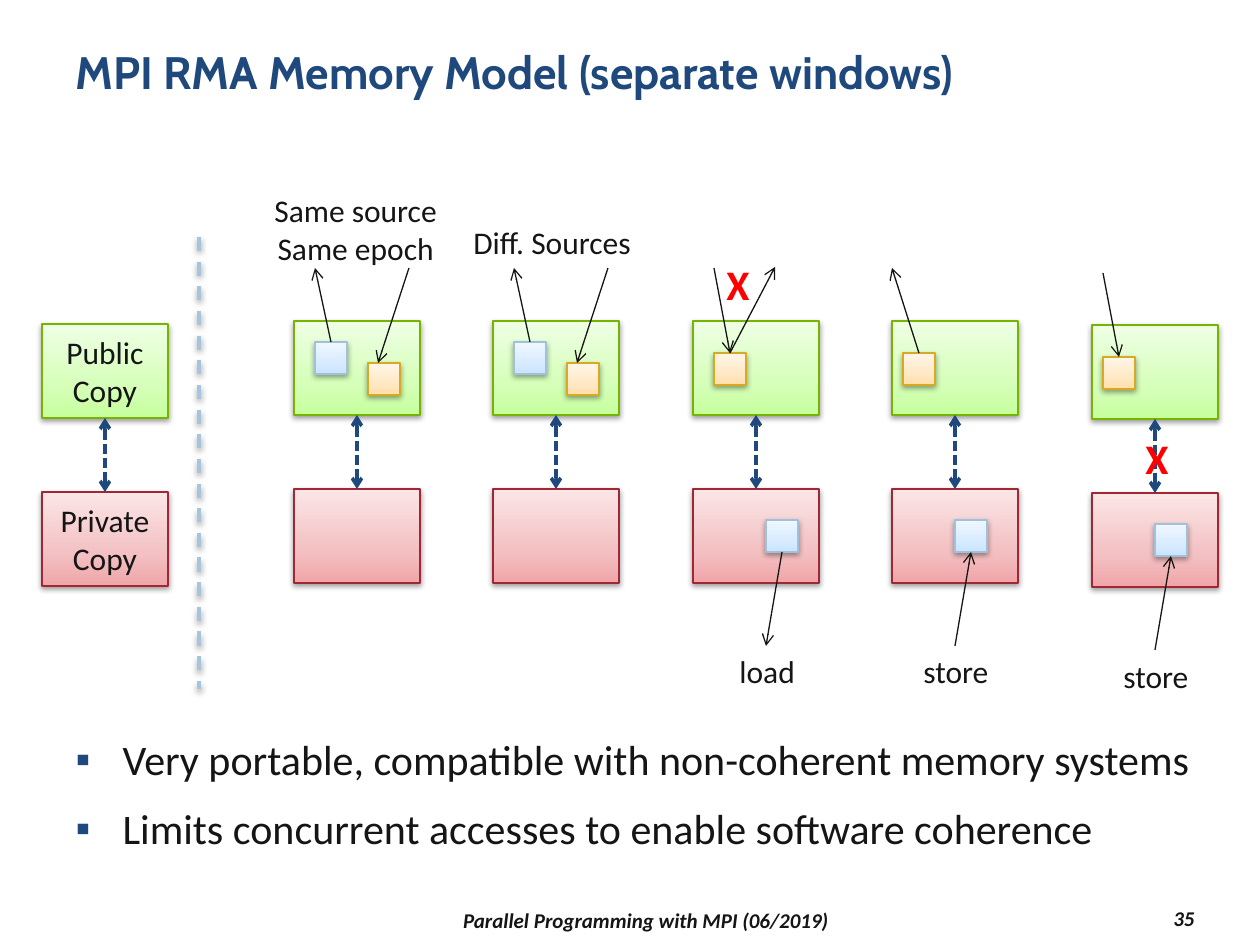
from lxml import etree
from pptx import Presentation
from pptx.dml.color import RGBColor
from pptx.enum.dml import MSO_LINE
from pptx.enum.shapes import MSO_CONNECTOR, MSO_SHAPE
from pptx.enum.text import MSO_ANCHOR, MSO_AUTO_SIZE, PP_ALIGN
from pptx.oxml.ns import qn
from pptx.util import Emu, Pt

PX_PER_INCH = 126
INK, NAVY, RED = "151515", "1F497D", "FF0000"
TOP, BOTTOM = 0, 2  # connection sites

# Outline, then gradient stops from bottom to top
STYLES = {
    "public": ("77B400", ("C6FF9D", "D6FFBA", "EFFFE5")),
    "private": ("A12734", ("F0A5A8", "F3C1C3", "FBE6E7")),
    "blue": ("A1C0DA", ("C9E4FF", "D8EBFF", "F0F7FF")),
    "orange": ("D8AA23", ("FFDFAB", "FFE8C4", "FFF6E9")),
}
STOPS = (0, 35000, 100000)
COPY_WIDTH, COPY_HEIGHT, COPY_STEP, SQUARE = 126, 94, 168, 32

# Squares: style, left, top. Accesses: square, site, outer x, outer y, inward,
# and where the arrow meets the square if that is not the middle of its side.
TWO_SOURCES = {
    "squares": [("blue", 21, 21), ("orange", 74, 42)],
    "accesses": [(0, TOP, 21, -53, False, None), (1, TOP, 115, -53, True, 10)],
}
CASES = [
    {**TWO_SOURCES, "labels": [("Same source\nSame epoch", -32, -136, 189, 89)]},
    {**TWO_SOURCES, "labels": [("Diff. Sources", -32, -104, 184, 50)]},
    {
        "squares": [("orange", 21, 32), ("blue", 73, 199)],
        "accesses": [(0, TOP, 21, -53, True, None), (0, TOP, 82, -54, False, None),
                     (1, BOTTOM, 73, 325, False, None)],
        "labels": [("load", 34, 325, 82, 50)],
        "cross": (21, -69),
    },
    {
        "squares": [("orange", 11, 32), ("blue", 63, 199)],
        "accesses": [(0, TOP, 0, -53, False, None), (1, BOTTOM, 63, 325, True, None)],
        "labels": [("store", 19, 325, 91, 50)],
    },
    {
        "squares": [("orange", 11, 32), ("blue", 63, 199)],
        "accesses": [(0, TOP, 11, -52, True, None), (1, BOTTOM, 63, 325, True, None)],
        "labels": [("store", 19, 326, 91, 50)],
        "cross": (41, 101),
    },
]


def px(length):
    return Emu(round(length * 914400 / PX_PER_INCH))


def color(value):
    return RGBColor.from_string(value)


def format_text(text_frame, size, ink=INK, font="Calibri", bold=False, italic=False, align=None):
    for paragraph in text_frame.paragraphs:
        paragraph.alignment = align
        for run in paragraph.runs:
            run.font.name, run.font.size = font, Pt(size)
            run.font.bold, run.font.italic = bold, italic
            run.font.color.rgb = color(ink)


def add_effects(properties, shadow):
    effects = etree.SubElement(properties, qn("a:effectLst"))
    if shadow:
        outer = etree.SubElement(effects, qn("a:outerShdw"), blurRad="40000", dist="20000",
                                 dir="5400000", rotWithShape="0")
        black = etree.SubElement(outer, qn("a:srgbClr"), val="000000")
        etree.SubElement(black, qn("a:alpha"), val="38000")


def add_box(slide, style, left, top, width, height, text=""):
    outline, shades = STYLES[style]
    shape = slide.shapes.add_shape(MSO_SHAPE.RECTANGLE, px(left), px(top), px(width), px(height))
    shape.fill.gradient()
    shape.fill.gradient_angle = 90
    properties = shape.element.spPr
    stop_list = properties.find(".//" + qn("a:gsLst"))
    for stop in list(stop_list):
        stop_list.remove(stop)
    for position, shade in zip(STOPS, shades):
        stop = etree.SubElement(stop_list, qn("a:gs"), pos=str(position))
        etree.SubElement(stop, qn("a:srgbClr"), val=shade)
    shape.line.color.rgb = color(outline)
    shape.line.width = Pt(0.75)
    add_effects(properties, shadow=True)
    if text:
        shape.text_frame.text = text
        shape.text_frame.vertical_anchor = MSO_ANCHOR.MIDDLE
        format_text(shape.text_frame, 18, align=PP_ALIGN.CENTER)
    return shape


def add_line(slide, start, end, ink=INK, width=0.75, dash=None, ends=("tailEnd",), shadow=False):
    line = slide.shapes.add_connector(MSO_CONNECTOR.STRAIGHT, *map(px, (*start, *end)))
    line.line.color.rgb = color(ink)
    line.line.width = Pt(width)
    if dash:
        line.line.dash_style = dash
    for name in ends:
        etree.SubElement(line.line._get_or_add_ln(), qn("a:" + name), type="arrow")
    add_effects(line.element.spPr, shadow)
    return line


def add_label(slide, text, left, top, width, height, size=18, wrap=False, **style):
    box = slide.shapes.add_textbox(px(left), px(top), px(width), px(height))
    box.text_frame.text = text
    box.text_frame.word_wrap = wrap
    if wrap:
        box.text_frame.vertical_anchor = MSO_ANCHOR.MIDDLE
    format_text(box.text_frame, size, **style)
    return box


def add_copies(slide, left, top, public_text="", private_text=""):
    """Public copy above private copy, joined by a dashed double arrow."""
    public = add_box(slide, "public", left, top, COPY_WIDTH, COPY_HEIGHT, public_text)
    private = add_box(slide, "private", left, top + COPY_STEP, COPY_WIDTH, COPY_HEIGHT, private_text)
    middle = left + COPY_WIDTH / 2
    link = add_line(slide, (middle, top + COPY_HEIGHT), (middle, top + COPY_STEP), NAVY, 2,
                    MSO_LINE.SQUARE_DOT, ("headEnd", "tailEnd"))
    link.begin_connect(public, BOTTOM)
    link.end_connect(private, TOP)


def add_case(slide, left, top, case):
    """One access pattern: copies, memory squares, arrows and labels."""
    add_copies(slide, left, top)
    squares = [add_box(slide, style, left + x, top + y, SQUARE, SQUARE)
               for style, x, y in case["squares"]]
    for index, site, outer_x, outer_y, inward, offset in case["accesses"]:
        _, x, y = case["squares"][index]
        inner = (left + x + (SQUARE / 2 if offset is None else offset),
                 top + y + (SQUARE if site == BOTTOM else 0))
        outer = (left + outer_x, top + outer_y)
        arrow = add_line(slide, *((outer, inner) if inward else (inner, outer)))
        if offset is None:
            connect = arrow.end_connect if inward else arrow.begin_connect
            connect(squares[index], site)
    for text, x, y, width, height in case["labels"]:
        label = add_label(slide, text, left + x, top + y, width, height)
        for paragraph in label.text_frame.paragraphs[1:]:
            paragraph.alignment = PP_ALIGN.CENTER
    if "cross" in case:
        x, y = case["cross"]
        add_label(slide, "X", left + x, top + y, 49, 63, 24, ink=RED, bold=True)


def place(placeholder, left, top, width, height):
    placeholder.left, placeholder.top = px(left), px(top)
    placeholder.width, placeholder.height = px(width), px(height)
    text_frame = placeholder.text_frame
    text_frame.auto_size = MSO_AUTO_SIZE.NONE
    text_frame.vertical_anchor = MSO_ANCHOR.TOP
    return text_frame


def add_title(slide, left, top, width, height):
    text_frame = place(slide.shapes.title, left, top, width, height)
    text_frame.text = "MPI RMA Memory Model (separate windows)"
    format_text(text_frame, 26, NAVY, "Cabin", bold=True, align=PP_ALIGN.LEFT)


def add_bullets(slide, left, top, width, height):
    text_frame = place(slide.placeholders[1], left, top, width, height)
    text_frame.text = ("Very portable, compatible with non-coherent memory systems\n"
                       "Limits concurrent accesses to enable software coherence")
    for index, paragraph in enumerate(text_frame.paragraphs):
        paragraph.line_spacing = 1.2
        paragraph.space_before = Pt(5 if index else 0)
        properties = paragraph._p.get_or_add_pPr()
        properties.set("marL", str(px(47)))
        properties.set("indent", str(-px(47)))
        bullet_color = etree.SubElement(properties, qn("a:buClr"))
        etree.SubElement(bullet_color, qn("a:srgbClr"), val=NAVY)
        etree.SubElement(properties, qn("a:buChar"), char="▪")
    format_text(text_frame, 24)


def main():
    presentation = Presentation()
    presentation.slide_width, presentation.slide_height = px(1260), px(945)
    slide = presentation.slides.add_slide(presentation.slide_layouts[1])
    add_title(slide, 63, 38, 1155, 109)
    add_bullets(slide, 63, 717, 1155, 144)

    # Legend and separator
    add_copies(slide, 42, 324, "Public\nCopy", "Private\nCopy")
    add_line(slide, (199, 237), (199, 689), "A6C4DE", 2, MSO_LINE.DASH, (), shadow=True)

    # Access patterns at equal steps, the last one slightly lower
    for index, case in enumerate(CASES):
        add_case(slide, 294 + index * 399 // 2, 325 if case is CASES[-1] else 321, case)

    # Footer and page number
    footer = {"size": 12, "wrap": True, "bold": True, "italic": True}
    add_label(slide, "Parallel Programming with MPI (06/2019)", 273, 903, 746, 34,
              align=PP_ALIGN.CENTER, **footer)
    add_label(slide, "35", 1071, 901, 136, 34, align=PP_ALIGN.RIGHT, **footer)
    presentation.save("out.pptx")


if __name__ == "__main__":
    main()
